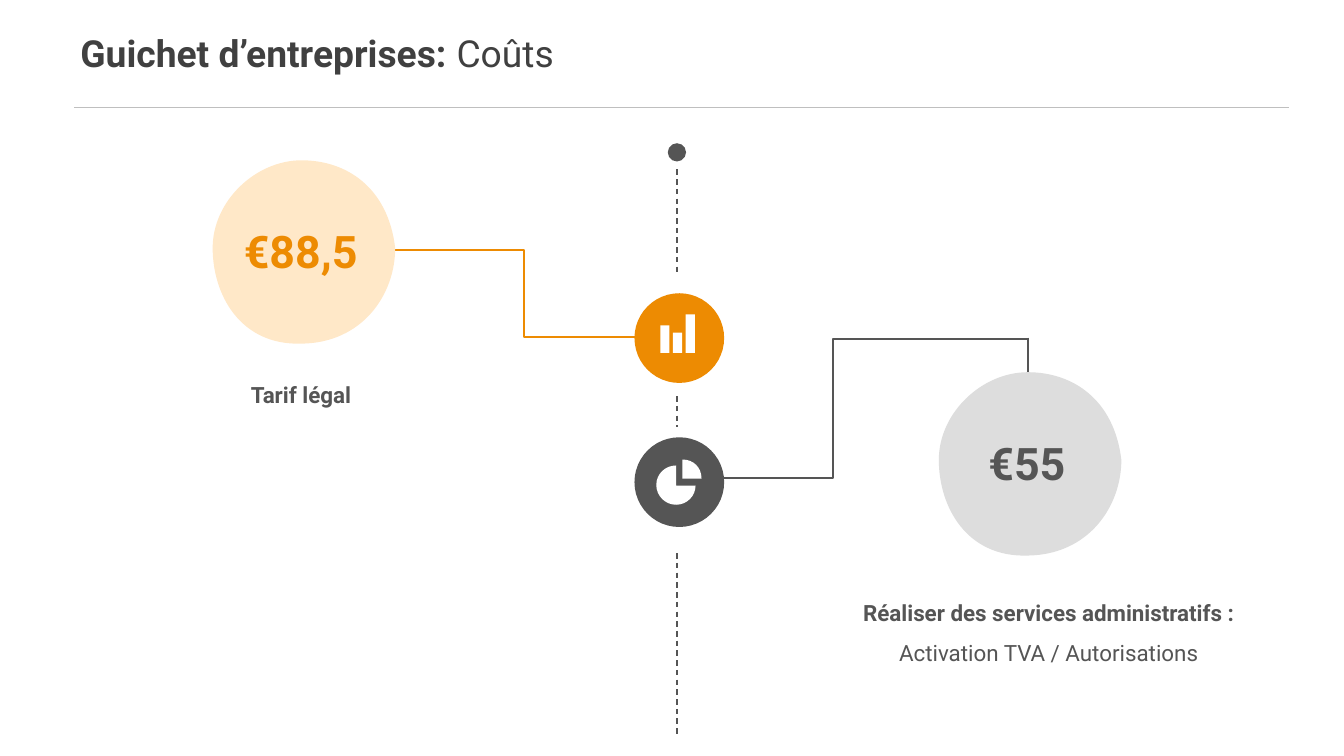
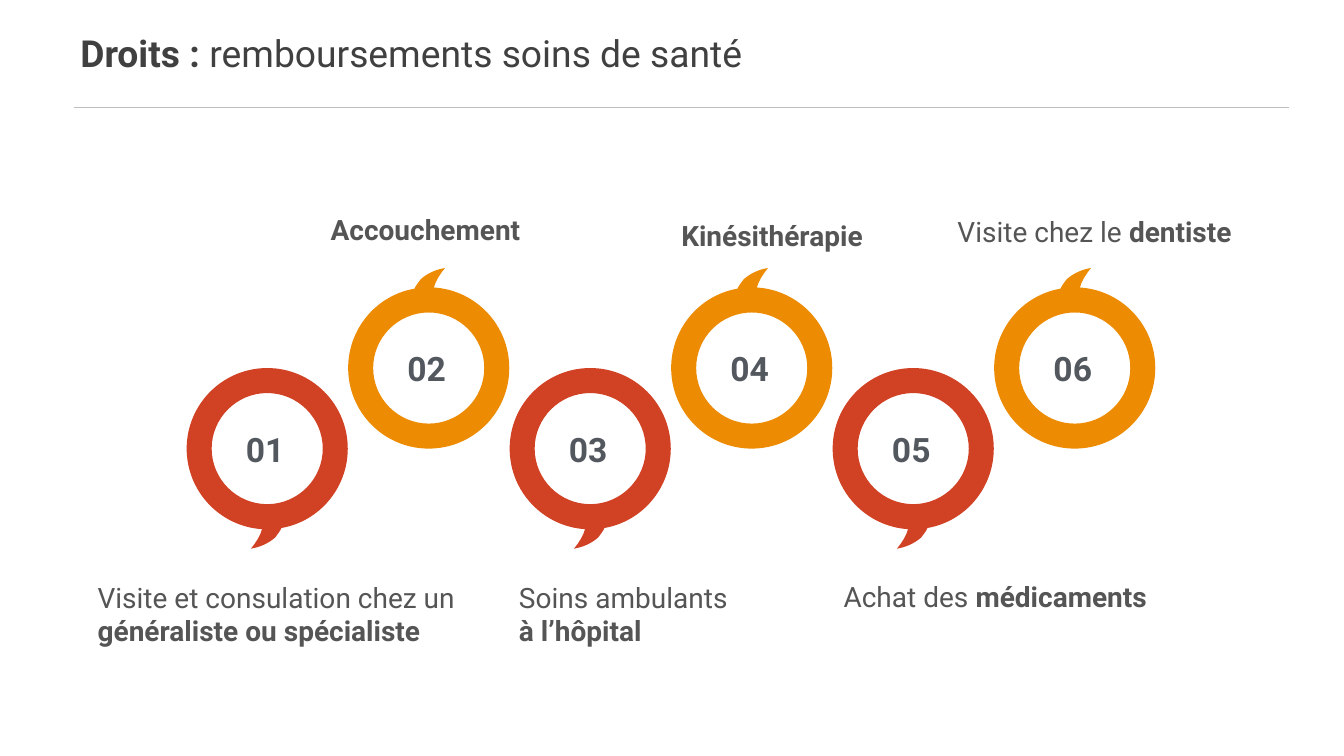
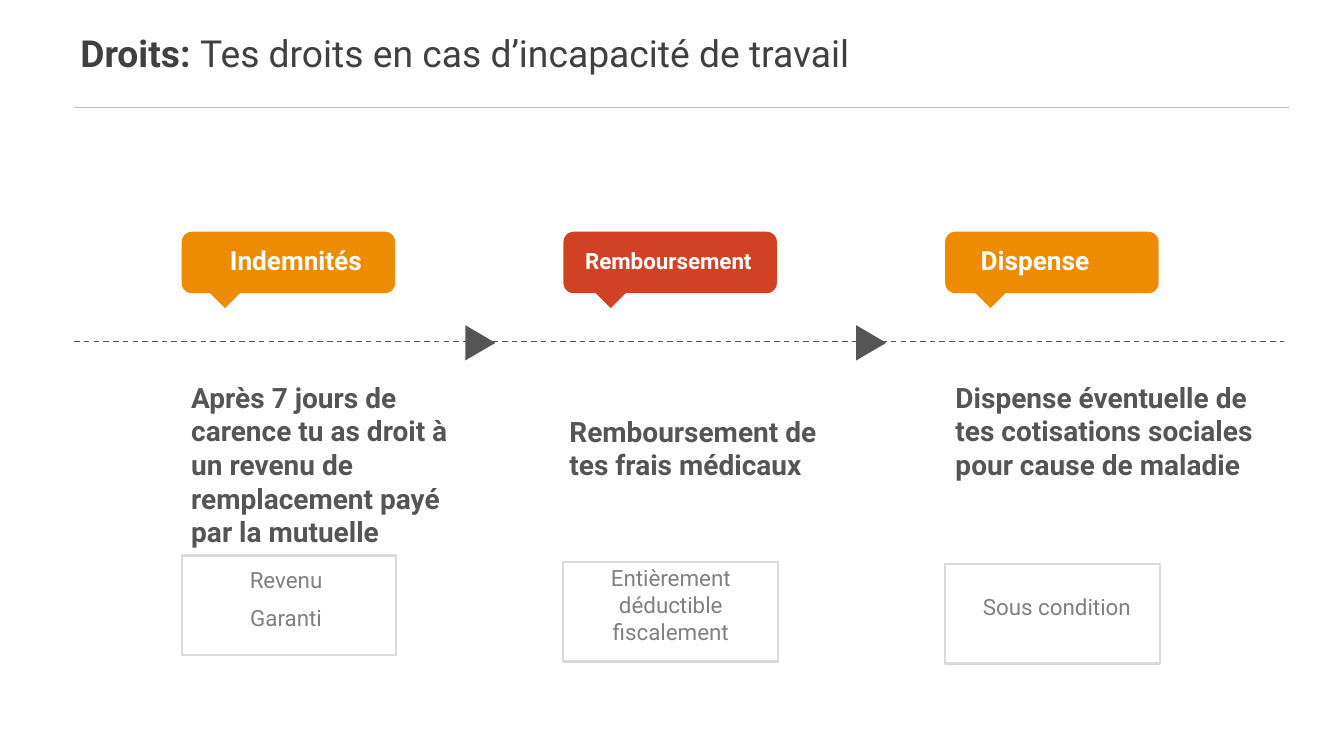
from lxml import etree
from pptx import Presentation
from pptx.dml.color import RGBColor
from pptx.enum import dml, shapes, text
from pptx.oxml import ns
from pptx.util import Cm, Pt

FONT = "Roboto"
ORANGE = RGBColor(0xED, 0x8B, 0x02)
RED = RGBColor(0xD1, 0x41, 0x24)
PEACH = RGBColor(0xFF, 0xE8, 0xC8)
WHITE = RGBColor(0xFF, 0xFF, 0xFF)
INK = RGBColor(0x40, 0x40, 0x40)
DARK = RGBColor(0x55, 0x55, 0x55)
SLATE = RGBColor(0x53, 0x58, 0x5F)
GREY = RGBColor(0x80, 0x80, 0x80)
RULE_GREY = RGBColor(0xBF, 0xBF, 0xBF)
FRAME_GREY = RGBColor(0xDA, 0xDA, 0xDA)
PALE = RGBColor(0xDD, 0xDD, 0xDD)

SHAPE = shapes.MSO_SHAPE
STRAIGHT = shapes.MSO_CONNECTOR.STRAIGHT
ELBOW = shapes.MSO_CONNECTOR.ELBOW
LEFT, CENTER = text.PP_ALIGN.LEFT, text.PP_ALIGN.CENTER
MIDDLE, TOP = text.MSO_ANCHOR.MIDDLE, text.MSO_ANCHOR.TOP


def style(part, fill=None, line=None, width=1, dashed=False):
    """Colour a shape or connector and take its shadow away."""
    if line is None:
        part.line.fill.background()
    else:
        part.line.color.rgb = line
        part.line.width = Pt(width)
    if dashed:
        part.line.dash_style = dml.MSO_LINE.DASH
    if hasattr(part, "begin_x"):
        etree.SubElement(part._element.spPr, ns.qn("a:effectLst"))
        return part
    part.shadow.inherit = False
    if fill is None:
        part.fill.background()
    else:
        part.fill.solid()
        part.fill.fore_color.rgb = fill
    return part


def write(frame, lines, size, color, align=LEFT, spacing=1.0, after=0, anchor=TOP):
    """Fill a text frame; each line is a list of (words, bold) runs."""
    frame.word_wrap = True
    frame.auto_size = text.MSO_AUTO_SIZE.NONE
    frame.vertical_anchor = anchor
    for i, runs in enumerate(lines):
        paragraph = frame.add_paragraph() if i else frame.paragraphs[0]
        paragraph.alignment = align
        paragraph.line_spacing = spacing
        paragraph.space_after = Pt(after)
        for words, bold in runs:
            run = paragraph.add_run()
            run.text = words
            run.font.name = FONT
            run.font.size = Pt(size)
            run.font.bold = bold
            run.font.color.rgb = color


deck = Presentation()
deck.slide_width, deck.slide_height = Cm(33.87), Cm(19.05)

# Shared title and rule
pages = []
for topic, subject in [
    ("Guichet d’entreprises: ", "Coûts"),
    ("Droits : ", "remboursements soins de santé"),
    ("Droits: ", "Tes droits en cas d’incapacité de travail"),
]:
    page = deck.slides.add_slide(deck.slide_layouts[5])
    title = page.shapes.title
    title.left, title.top, title.width, title.height = Cm(1.77), Cm(0.64), Cm(25.83), Cm(1.52)
    write(title.text_frame, [[(topic, True), (subject, False)]], 26.6, INK)
    style(page.shapes.add_connector(STRAIGHT, Cm(1.87), Cm(2.71), Cm(32.49), Cm(2.71)),
          line=RULE_GREY)
    pages.append(page.shapes)
costs, care, leave = pages

# Slide 1: costs along a vertical axis
AXIS = 17.06
style(costs.add_shape(SHAPE.OVAL, Cm(16.83), Cm(3.61), Cm(0.46), Cm(0.46)), DARK)
for top, bottom in [(4.27, 6.88), (9.98, 10.77), (13.94, 18.54)]:
    style(costs.add_connector(STRAIGHT, Cm(AXIS), Cm(top), Cm(AXIS), Cm(bottom)),
          line=DARK, dashed=True)

style(costs.add_connector(ELBOW, Cm(9.24), Cm(6.3), Cm(17.15), Cm(8.49)),
      line=ORANGE, width=1.5)
service_link = style(
    costs.add_connector(ELBOW, Cm(17.1), Cm(12.04), Cm(25.93), Cm(8.54)),
    line=DARK, width=1.5)
bend = etree.SubElement(
    service_link._element.spPr.find(ns.qn("a:prstGeom")).find(ns.qn("a:avLst")), ns.qn("a:gd"))
bend.set("name", "adj1")
bend.set("fmla", "val 44000")
style(costs.add_connector(STRAIGHT, Cm(25.91), Cm(8.51), Cm(25.91), Cm(9.42)),
      line=DARK, width=1.5)
for top, fill in [(7.39, ORANGE), (11.02, DARK)]:
    style(costs.add_shape(SHAPE.OVAL, Cm(15.99), Cm(top), Cm(2.26), Cm(2.26)), fill)

for left, top, width, lines in [
    (3.76, 9.14, 7.65, [[("Tarif légal", True)]]),
    (20.83, 14.63, 11.2, [[("Réaliser des services administratifs :", True)],
                          [("Activation TVA / Autorisations", False)]]),
]:
    caption = costs.add_textbox(Cm(left), Cm(top), Cm(width), Cm(4.42))
    write(caption.text_frame, lines, 16, DARK, CENTER, spacing=1.5)

# Outlines in cm: a contour is a start point and its steps;
# a step of one point is a line, a step of three is a cubic curve
BLOB = [((0, 2.21), [
    [(0, 1.02), (1.09, 0), (2.24, 0)],
    [(3.38, 0), (4.42, 0.69), (4.6, 2.21)],
    [(4.6, 3.38), (3.78, 4.6), (2.24, 4.62)],
    [(0.69, 4.67), (0, 3.38), (0, 2.21)]])]
BUBBLE = [
    ((0, -2.03), [
        [(-1.12, -2.03), (-2.03, -1.12), (-2.03, 0)],
        [(-2.03, 1.07), (-1.2, 1.96), (-0.13, 2.03)],
        [(-0.18, 2.21), (-0.28, 2.36), (-0.41, 2.52)],
        [(-0.2, 2.49), (0.03, 2.39), (0.2, 2.24)],
        [(0.25, 2.17), (0.32, 2.09), (0.36, 2)],
        [(1.33, 1.83), (2.03, 0.98), (2.03, 0)],
        [(2.03, -1.12), (1.12, -2.03), (0, -2.03)]]),
    ((0, -1.4), [
        [(0.77, -1.4), (1.4, -0.77), (1.4, 0)],
        [(1.4, 0.77), (0.77, 1.4), (0, 1.4)],
        [(-0.77, 1.4), (-1.4, 0.77), (-1.4, 0)],
        [(-1.4, -0.77), (-0.77, -1.4), (0, -1.4)]])]
BARS = [((x, 0.97), [[(x, top)], [(x + 0.23, top)], [(x + 0.23, 0.97)]])
        for x, top in [(0, 0.28), (0.32, 0.46), (0.64, 0)]]
PIE = [
    ((0.66, 0), [[(0.94, 0), (1.14, 0.2), (1.14, 0.48)], [(0.66, 0.48)]]),
    ((0.99, 0.66), [
        [(0.99, 0.92), (0.77, 1.14), (0.5, 1.14)],
        [(0.23, 1.14), (0, 0.92), (0, 0.64)],
        [(0, 0.36), (0.23, 0.15), (0.5, 0.15)],
        [(0.5, 0.66)]])]

RING = 4.07
ring_lefts = [4.7 + RING * i for i in range(6)]
ring_tops = [7.24 if i % 2 else 9.27 for i in range(6)]

# Page, origin, direction (-1 turns it half round), outline, fill, price and its colour
outlined = [
    (costs, 5.36, 4.04, 1, BLOB, PEACH, "€88,5", ORANGE),
    (costs, 23.66, 9.38, 1, BLOB, PALE, "€55", DARK),
    (costs, 16.64, 7.92, 1, BARS, WHITE, None, None),
    (costs, 16.54, 11.58, 1, PIE, WHITE, None, None),
]
for i, (left, top) in enumerate(zip(ring_lefts, ring_tops)):
    way, fill = (-1, ORANGE) if i % 2 else (1, RED)
    outlined.append((care, left + RING / 2, top + RING / 2, way, BUBBLE, fill, None, None))

for page, left, top, way, contours, fill, price, color in outlined:
    builder = None
    for start, steps in contours:
        points = [(Cm(left + way * x), Cm(top + way * y))
                  for x, y in [start] + [point for step in steps for point in step]]
        if builder is None:
            builder = page.build_freeform(*points[0])
        else:
            builder.move_to(*points[0])
        builder.add_line_segments(points[1:], close=True)
    figure = style(builder.convert_to_shape(), fill)
    drawn = next(figure._element.iter(ns.qn("a:path")))
    nodes = iter(drawn.findall(ns.qn("a:lnTo")))
    for step in [step for start, steps in contours for step in steps]:
        step_nodes = [next(nodes) for point in step]
        if len(step) == 3:
            curve = etree.Element(ns.qn("a:cubicBezTo"))
            step_nodes[0].addprevious(curve)
            for node in step_nodes:
                curve.append(node[0])
                drawn.remove(node)
    if price:
        frame = figure.text_frame
        frame.margin_left, frame.margin_right = Cm(0.25), Cm(0.41)
        frame.margin_top, frame.margin_bottom = 0, Cm(0.13)
        write(frame, [[(price, True)]], 32, color, CENTER, anchor=MIDDLE)

# Slide 2: numbers in the rings, and captions
for i, (left, top, width, lines) in enumerate([
    (2.21, 14.5, 9.63, [[("Visite et consulation chez un ", False),
                         ("généraliste ou spécialiste", True)]]),
    (8.08, 5.23, 8.08, [[("Accouchement", True)]]),
    (12.83, 14.5, 8.61, [[("Soins ambulants", False)], [("à l’hôpital", True)]]),
    (16.92, 5.38, 8.08, [[("Kinésithérapie", True)]]),
    (21.01, 14.48, 8.99, [[("Achat des ", False), ("médicaments", True)]]),
    (23.88, 5.28, 8.08, [[("Visite chez le ", False), ("dentiste", True)]]),
]):
    number = style(care.add_shape(SHAPE.RECTANGLE, Cm(ring_lefts[i] + 1.5),
                                  Cm(ring_tops[i] + 1.45), Cm(1.07), Cm(1.17)))
    frame = number.text_frame
    frame.margin_left = frame.margin_right = frame.margin_top = frame.margin_bottom = 0
    write(frame, [[(f"{i + 1:02}", True)]], 24, SLATE, anchor=MIDDLE)
    caption = care.add_textbox(Cm(left), Cm(top), Cm(width), Cm(2.2))
    write(caption.text_frame, lines, 20, DARK)

# Slide 3: three rights on a dashed arrow line
style(leave.add_connector(STRAIGHT, Cm(1.87), Cm(8.61), Cm(32.36), Cm(8.61)),
      line=DARK, dashed=True)
for left in (11.66, 21.51):
    arrow = style(leave.add_shape(SHAPE.ISOSCELES_TRIANGLE, Cm(left), Cm(8.26),
                                  Cm(0.89), Cm(0.76)), DARK)
    arrow.rotation = 90

# heading, size, inset, fill, pointer offset; body with left, top, width; note with frame top, insets
rights = [
    ("Indemnités", 18.7, 1.14, ORANGE, 0.81,
     "Après 7 jours de carence tu as droit à un revenu de remplacement payé par la mutuelle",
     4.57, 9.46, 7.16, ["Revenu", "Garanti"], 14, (0, 0.15, 0.26)),
    ("Remboursement", 16, 0.47, RED, 0.91, "Remboursement de tes frais médicaux",
     14.1, 10.31, 7.37, ["Entièrement déductible fiscalement"], 14.16, (0, 0, 0.05)),
    ("Dispense", 18.7, 0.82, ORANGE, 0.86,
     "Dispense éventuelle de tes cotisations sociales pour cause de maladie",
     23.83, 9.46, 8.66, ["Sous condition"], 14.21, (0.22, 0, 0.73)),
]
for i, (heading, size, inset, fill, pointer_offset, body, body_left, body_top, body_width,
        notes, note_top, note_insets) in enumerate(rights):
    left = 4.58 + 9.62 * i
    pointer = style(leave.add_shape(SHAPE.RECTANGLE, Cm(left + pointer_offset), Cm(7.09),
                                    Cm(0.56), Cm(0.56)), fill)
    pointer.rotation = 45
    label = style(leave.add_shape(SHAPE.ROUNDED_RECTANGLE, Cm(left), Cm(5.84),
                                  Cm(5.38), Cm(1.55)), fill)
    frame = label.text_frame
    frame.margin_left, frame.margin_right = Cm(inset), 0
    frame.margin_top, frame.margin_bottom = 0, Cm(0.1)
    write(frame, [[(heading, True)]], size, WHITE, anchor=MIDDLE)

    body_box = leave.add_textbox(Cm(body_left), Cm(body_top), Cm(body_width), Cm(4.52))
    write(body_box.text_frame, [[(body, True)]], 20, DARK)

    note = style(leave.add_shape(SHAPE.RECTANGLE, Cm(left), Cm(note_top), Cm(5.41), Cm(2.51)),
                 line=FRAME_GREY, width=1.5)
    frame = note.text_frame
    frame.margin_left, frame.margin_right, frame.margin_top = map(Cm, note_insets)
    write(frame, [[(words, False)] for words in notes], 16, GREY, CENTER, after=8)

deck.save("out.pptx")
